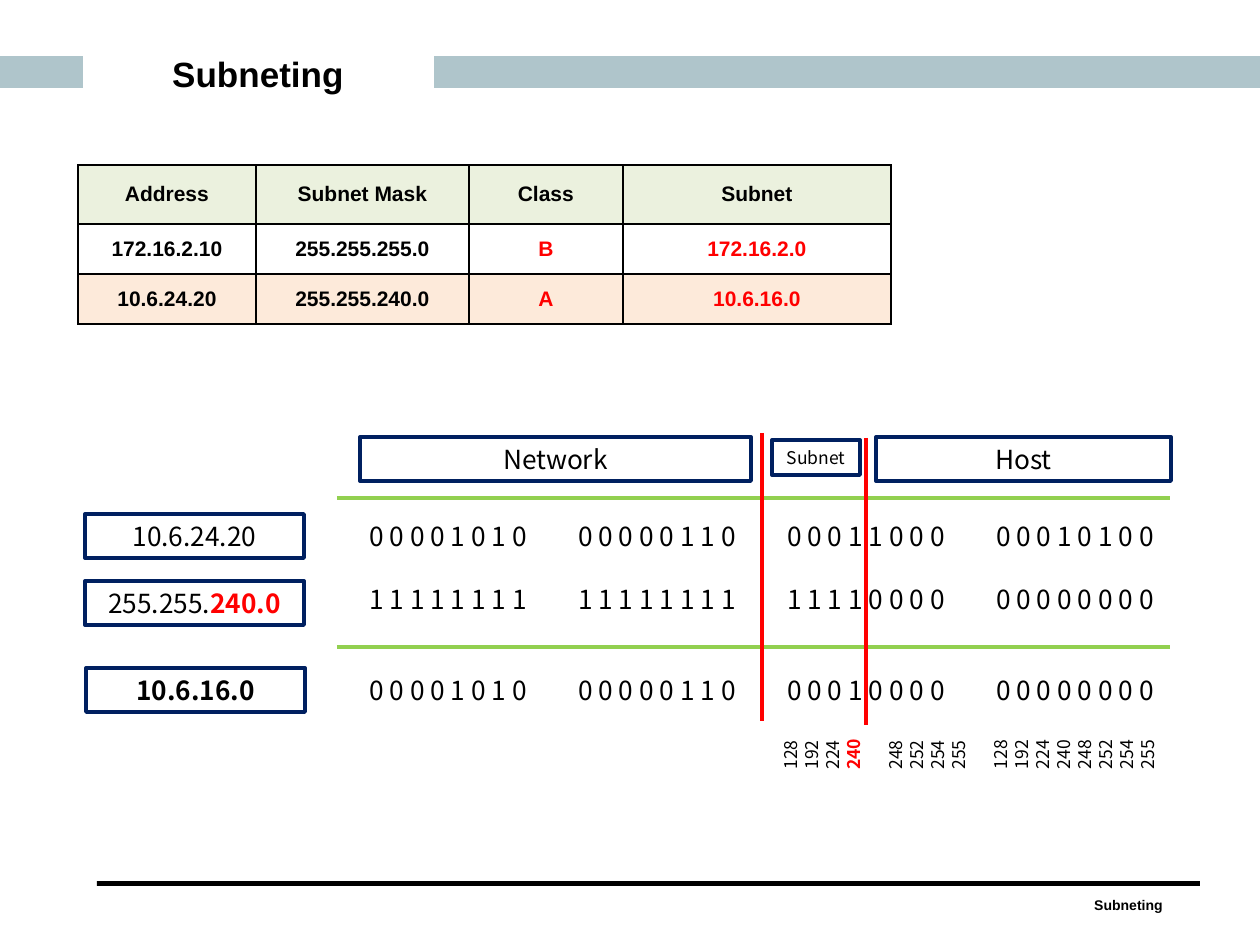
from pptx import Presentation
from pptx.dml.color import RGBColor
from pptx.enum.shapes import MSO_CONNECTOR, MSO_SHAPE
from pptx.enum.text import MSO_ANCHOR, PP_ALIGN
from pptx.oxml.ns import qn
from pptx.util import Pt
from lxml import etree

RECT = MSO_SHAPE.RECTANGLE
STRAIGHT = MSO_CONNECTOR.STRAIGHT
MIDDLE = MSO_ANCHOR.MIDDLE
CENTER = PP_ALIGN.CENTER
LEFT = PP_ALIGN.LEFT

BLACK = RGBColor(0x00, 0x00, 0x00)
RED = RGBColor(0xFF, 0x00, 0x00)
NAVY = RGBColor(0x00, 0x20, 0x60)
LIME = RGBColor(0x92, 0xD0, 0x50)
STEEL = RGBColor(0xAF, 0xC5, 0xCB)
SAGE = RGBColor(0xEB, 0xF1, 0xDE)
PEACH = RGBColor(0xFD, 0xEA, 0xDA)

ARIAL = "Arial"
NOTO = "Noto Sans CJK KR"

COLS = (178, 213, 154, 268)
ROWS = (
    (59, SAGE, ("Address", "Subnet Mask", "Class", "Subnet")),
    (50, None, ("172.16.2.10", "255.255.255.0", "B", "172.16.2.0")),
    (50, PEACH, ("10.6.24.20", "255.255.240.0", "A", "10.6.16.0")),
)
BITS = (
    (514, ("00001010", "00000110", "00011000", "00010100")),
    (577, ("11111111", "11111111", "11110000", "00000000")),
    (668, ("00001010", "00000110", "00010000", "00000000")),
)
MASKS = ("128", "192", "224", "240", "248", "252", "254", "255")


def px(n):
    return round(n * 914400 / 126)


def add_run(para, text, size, font=NOTO, color=BLACK, bold=False):
    run = para.add_run()
    run.text = text
    run.font.size = Pt(size)
    run.font.name = font
    run.font.bold = bold
    run.font.color.rgb = color


def set_frame(shape, side=0):
    frame = shape.text_frame
    frame.word_wrap = True
    frame.vertical_anchor = MIDDLE
    frame.margin_left = frame.margin_right = px(side)
    frame.margin_top = frame.margin_bottom = 0
    para = frame.paragraphs[0]
    para.alignment = CENTER
    return para


def add_bar(slide, x, y, w, h, color):
    bar = slide.shapes.add_shape(RECT, px(x), px(y), px(w), px(h))
    bar.shadow.inherit = False
    bar.fill.solid()
    bar.fill.fore_color.rgb = color
    bar.line.fill.background()


def add_label(slide, x, y, w, h):
    box = slide.shapes.add_textbox(px(x), px(y), px(w), px(h))
    return set_frame(box)


def add_box(slide, x, y, w, h=44):
    box = slide.shapes.add_shape(RECT, px(x), px(y), px(w), px(h))
    box.shadow.inherit = False
    box.fill.background()
    box.line.color.rgb = NAVY
    box.line.width = Pt(2.25)
    return set_frame(box)


def add_rule(slide, x1, y1, x2, y2, color):
    rule = slide.shapes.add_connector(STRAIGHT, px(x1), px(y1), px(x2), px(y2))
    rule.line.color.rgb = color
    rule.line.width = Pt(2.25)
    etree.SubElement(rule.element.spPr, qn("a:effectLst"))


def add_border(cell):
    props = cell._tc.get_or_add_tcPr()
    for i, side in enumerate(("a:lnL", "a:lnR", "a:lnT", "a:lnB")):
        edge = etree.Element(qn(side), w=str(Pt(1)))
        fill = etree.SubElement(edge, qn("a:solidFill"))
        etree.SubElement(fill, qn("a:srgbClr"), val=str(BLACK))
        props.insert(i, edge)


def add_grid(slide, x, y):
    high = sum(row[0] for row in ROWS)
    shape = slide.shapes.add_table(
        len(ROWS), len(COLS), px(x), px(y), px(sum(COLS)), px(high))
    table = shape.table
    for c, width in enumerate(COLS):
        table.columns[c].width = px(width)
    for r, (height, tint, texts) in enumerate(ROWS):
        table.rows[r].height = px(height)
        for c, text in enumerate(texts):
            cell = table.cell(r, c)
            cell.vertical_anchor = MIDDLE
            cell.margin_left = cell.margin_right = px(9)
            cell.margin_top = cell.margin_bottom = 0
            if tint:
                cell.fill.solid()
                cell.fill.fore_color.rgb = tint
            else:
                cell.fill.background()
            add_border(cell)
            para = cell.text_frame.paragraphs[0]
            para.alignment = CENTER
            color = RED if r and c > 1 else BLACK
            add_run(para, text, 12, ARIAL, color, True)


def add_scale(slide, x, y, w, h, split=False):
    box = slide.shapes.add_textbox(px(x), px(y), px(w), px(h))
    box.rotation = 270
    frame = box.text_frame
    frame.word_wrap = True
    for i, mask in enumerate(MASKS):
        para = frame.add_paragraph() if i else frame.paragraphs[0]
        para.alignment = LEFT
        para.line_spacing = Pt(12)
        if split and i == 4:
            para.space_before = Pt(12)
        mark = split and i == 3
        add_run(para, mask, 10, color=RED if mark else BLACK, bold=mark)


def main():
    deck = Presentation()
    deck.slide_width, deck.slide_height = px(1260), px(945)
    slide = deck.slides.add_slide(deck.slide_layouts[6])

    add_bar(slide, 0, 56, 83, 32, STEEL)
    add_bar(slide, 434, 56, 826, 32, STEEL)
    add_bar(slide, 97, 881, 1103, 5, BLACK)
    add_run(add_label(slide, 1057, 890, 143, 30), "Subneting", 8, ARIAL, bold=True)
    add_run(add_label(slide, 94, 46, 328, 54), "Subneting", 20, ARIAL, bold=True)
    add_grid(slide, 78, 165)

    for y, octets in BITS:
        for i, octet in enumerate(octets):
            para = add_label(slide, 344 + 209 * i, y, 208, 44)
            add_run(para, " ".join(octet), 15)

    add_run(add_box(slide, 85, 514, 219), "10.6.24.20", 15)
    mask = add_box(slide, 85, 581, 219)
    add_run(mask, "255.255.", 15)
    add_run(mask, "240.0", 15, color=RED, bold=True)
    add_run(add_box(slide, 86, 668, 219), "10.6.16.0", 15, bold=True)
    add_run(add_box(slide, 360, 437, 391), "Network", 15)
    add_run(add_box(slide, 772, 440, 88, 35), "Subnet", 10)
    add_run(add_box(slide, 876, 437, 295), "Host", 15)

    for y in (498, 647):
        add_rule(slide, 337, y, 1170, y, LIME)
    add_rule(slide, 762, 433, 762, 721, RED)
    add_rule(slide, 866, 438, 866, 725, RED)

    add_scale(slide, 845, 649, 62, 204, True)
    add_scale(slide, 1044, 659, 62, 183)
    deck.save("out.pptx")


if __name__ == "__main__":
    main()
